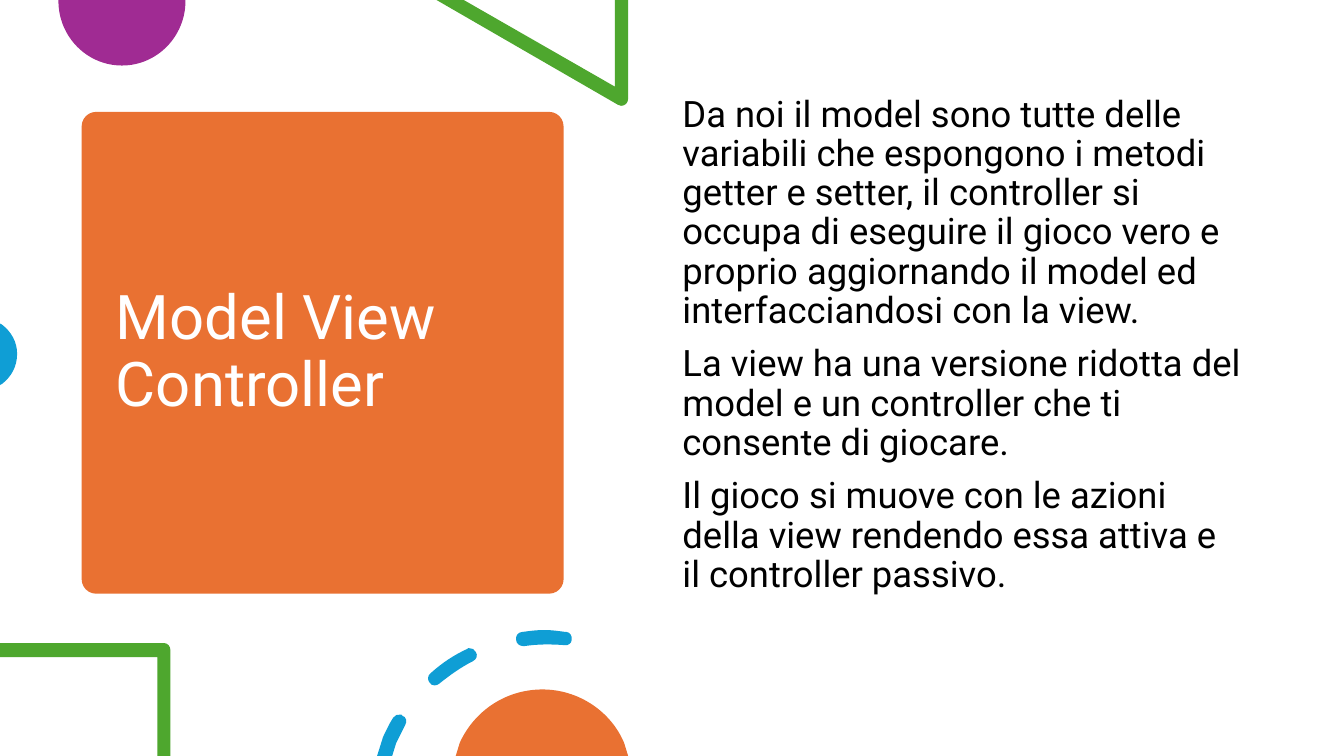
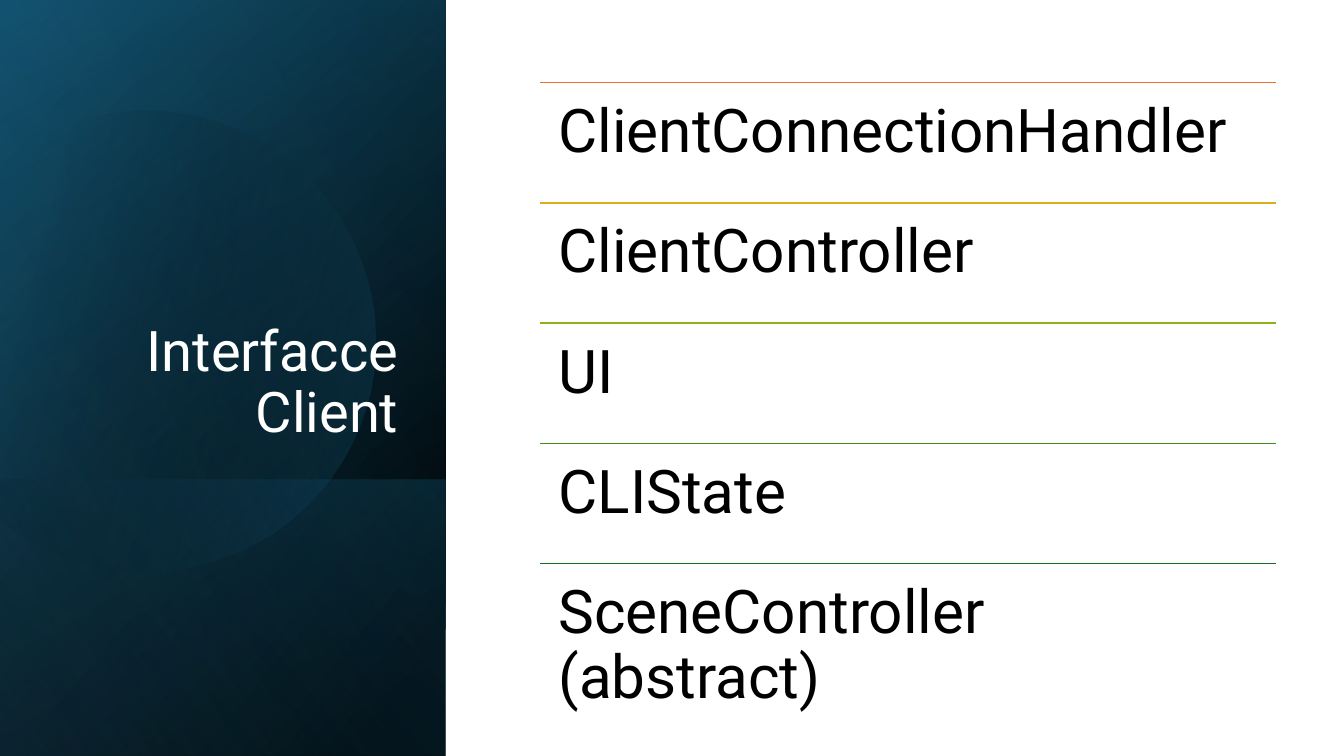
from dataclasses import dataclass

from lxml import etree
from pptx import Presentation
from pptx import util as u
from pptx.dml.color import RGBColor
from pptx.enum import shapes, text
from pptx.oxml import ns


@dataclass(frozen=True)
class Theme:
    """Colours, font and type sizes of the deck."""
    font: str = "Roboto"
    white: str = "FFFFFF"
    black: str = "000000"
    orange: str = "E97132"
    purple: str = "A02B93"
    green: str = "4EA72E"
    blue: str = "0F9ED5"
    navy: str = "104862"
    teal: str = "156082"
    sky: str = "46B1E1"
    rules: tuple = ("E97132", "D8B11D", "8EB21E", "408E1C", "196B24")
    head: int = 44
    side: int = 40
    body: int = 26
    item: int = 43


T = Theme()
ALIGN = text.PP_ALIGN
ANCHOR = text.MSO_ANCHOR

DISC = [[(1.84, 0), (0.58, 0), (0.58, 0.01), (0.58, 0.36, 0.86, 0.65, 1.21, 0.65),
         (1.56, 0.65, 1.84, 0.36, 1.84, 0.01)]]
WEDGE = [[(6.23, 0), (6.1, 0), (6.1, 0.86), (4.6, 0), (4.33, 0), (6.13, 1.04),
          (6.14, 1.05, 6.15, 1.05, 6.16, 1.05), (6.2, 1.05, 6.23, 1.02, 6.23, 0.98)]]
DOT = [[(0, 3.21), (0, 3.82), (0.02, 3.81), (0.11, 3.74, 0.17, 3.64, 0.17, 3.51),
        (0.17, 3.39, 0.11, 3.29, 0.02, 3.22)]]
FRAME = [[(1.63, 6.38), (0, 6.38), (0, 6.52), (1.56, 6.52), (1.56, 7.5), (1.69, 7.5),
          (1.69, 6.45), (1.69, 6.41, 1.66, 6.38, 1.63, 6.38)]]
DASHES = [
    [(3.97, 7.09), (3.94, 7.08, 3.92, 7.1, 3.9, 7.12), (3.86, 7.18, 3.83, 7.25, 3.8, 7.31),
     (3.74, 7.5), (3.89, 7.5), (3.93, 7.37), (3.96, 7.31, 3.99, 7.25, 4.02, 7.19),
     (4.04, 7.16, 4.03, 7.11, 3.99, 7.1), (3.99, 7.09, 3.98, 7.09, 3.97, 7.09)],
    [(4.65, 6.43), (4.65, 6.43, 4.64, 6.43, 4.63, 6.44), (4.5, 6.5, 4.38, 6.58, 4.27, 6.68),
     (4.24, 6.7, 4.24, 6.75, 4.26, 6.77), (4.27, 6.79, 4.29, 6.8, 4.31, 6.8),
     (4.33, 6.8, 4.35, 6.79, 4.36, 6.78), (4.46, 6.7, 4.57, 6.62, 4.69, 6.56),
     (4.73, 6.54, 4.74, 6.5, 4.72, 6.47), (4.71, 6.44, 4.68, 6.43, 4.65, 6.43)],
    [(5.4, 6.25), (5.32, 6.25, 5.25, 6.26, 5.18, 6.27), (5.14, 6.27, 5.11, 6.31, 5.12, 6.35),
     (5.12, 6.38, 5.15, 6.41, 5.19, 6.41), (5.19, 6.41, 5.19, 6.41, 5.2, 6.41),
     (5.33, 6.39, 5.46, 6.39, 5.6, 6.4), (5.63, 6.41, 5.67, 6.38, 5.67, 6.35),
     (5.68, 6.31, 5.65, 6.27, 5.62, 6.27), (5.62, 6.27, 5.61, 6.27, 5.61, 6.27),
     (5.54, 6.26, 5.47, 6.25, 5.4, 6.25)]]
DOME = [[(5.38, 6.84), (5.01, 6.84, 4.7, 7.06, 4.56, 7.37), (4.52, 7.5), (6.23, 7.5),
         (6.19, 7.37), (6.06, 7.06, 5.74, 6.84, 5.38, 6.84)]]
ORB = [[(0.36, 1.33), (0.69, 1.15, 1.07, 1.06, 1.44, 1.06),
        (2.7, 1.06, 3.72, 2.08, 3.72, 3.35), (3.72, 4.61, 2.7, 5.63, 1.44, 5.63),
        (0.62, 5.63, -0.15, 5.19, -0.55, 4.48)]]


def rgb(code):
    """Turn a hex code into a colour."""
    return RGBColor.from_string(code)


def box(*at):
    """Turn lengths in inches into EMU."""
    return [u.Inches(v) for v in at]


def write(shape, lines, size, color=T.black, align=ALIGN.LEFT, anchor=ANCHOR.TOP,
          before=0, inset=None):
    """Fill a shape with formatted paragraphs."""
    frame = shape.text_frame
    frame.text = "\n".join(lines)
    frame.word_wrap = True
    frame.auto_size = text.MSO_AUTO_SIZE.NONE
    frame.vertical_anchor = anchor
    if inset is not None:
        frame.margin_left = frame.margin_right = u.Inches(inset)
        frame.margin_top = frame.margin_bottom = u.Inches(inset)
    for para in frame.paragraphs:
        para.alignment = align
        para.line_spacing = 0.9
        para.space_before = u.Pt(before)
        font = para.runs[0].font
        font.name, font.size = T.font, u.Pt(size)
        font.color.rgb = rgb(color)


def title(slide, line, at, size, **form):
    """Place the title above the shapes drawn so far."""
    head = slide.shapes.title
    head.left, head.top, head.width, head.height = box(*at)
    slide.shapes._spTree.append(head._element)
    write(head, [line], size, T.white, **form)


def label(slide, lines, at, size, **form):
    """Add a text box."""
    write(slide.shapes.add_textbox(*box(*at)), lines, size, **form)


def blend(shape, stops, angle):
    """Give a shape a linear gradient of (position, colour, opacity) stops."""
    shape.fill.gradient()
    shape.fill.gradient_angle = 360 - angle
    group = shape._element.spPr.find(".//" + ns.qn("a:gsLst"))
    for old in list(group):
        group.remove(old)
    for pos, code, alpha in stops:
        stop = etree.SubElement(group, ns.qn("a:gs"), pos=str(pos * 1000))
        color = etree.SubElement(stop, ns.qn("a:srgbClr"), val=code)
        if alpha < 100:
            etree.SubElement(color, ns.qn("a:alpha"), val=str(alpha * 1000))


def paint(shape, fill, angle=0):
    """Set a plain or gradient fill without outline or shadow."""
    shape.shadow.inherit = False
    shape.line.fill.background()
    if isinstance(fill, str):
        shape.fill.solid()
        shape.fill.fore_color.rgb = rgb(fill)
    else:
        blend(shape, fill, angle)
    return shape


def block(slide, kind, at, fill, angle=0):
    """Add a preset shape."""
    return paint(slide.shapes.add_shape(kind, *box(*at)), fill, angle)


def bend(shape, loops):
    """Turn the segments that have control points into cubic curves."""
    parts = [part for loop in loops for part in loop[1:]]
    lines = list(shape._element.spPr.iter(ns.qn("a:lnTo")))
    for line, part in zip(lines, parts):
        if len(part) == 2:
            continue
        curve = etree.Element(ns.qn("a:cubicBezTo"))
        for x, y in zip(part[::2], part[1::2]):
            etree.SubElement(curve, ns.qn("a:pt"), x=str(u.Inches(x) - shape.left),
                             y=str(u.Inches(y) - shape.top))
        line.getparent().replace(line, curve)


def free(slide, loops, fill, angle=0):
    """Add an outline made of closed loops of points and cubic curves."""
    pen = None
    for loop in loops:
        first, *rest = [box(*part[-2:]) for part in loop]
        if pen is None:
            pen = slide.shapes.build_freeform(*first, scale=1.0)
        else:
            pen.move_to(*first)
        pen.add_line_segments(rest, close=True)
    shape = pen.convert_to_shape()
    bend(shape, loops)
    return paint(shape, fill, angle)


def rule(slide, left, top, width, color):
    """Add a thin level line."""
    line = slide.shapes.add_connector(shapes.MSO_CONNECTOR.STRAIGHT,
                                      *box(left, top, left + width, top))
    line.line.color.rgb = rgb(color)
    line.line.width = u.Pt(1)
    etree.SubElement(line._element.spPr, ns.qn("a:effectLst"))


def model(slide):
    """Draw the slide on the pattern."""
    card = block(slide, shapes.MSO_SHAPE.ROUNDED_RECTANGLE, (0.81, 1.11, 4.78, 4.78), T.orange)
    card.adjustments[0] = 0.03
    title(slide, "Model View Controller", (1.05, 1.22, 4.31, 4.56), T.head,
          anchor=ANCHOR.MIDDLE)
    for loops, color in ((DISC, T.purple), (WEDGE, T.green), (DOT, T.blue)):
        free(slide, loops, color)
    label(slide, [
        "Da noi il model sono tutte delle variabili che espongono i metodi getter e setter, "
        "il controller si occupa di eseguire il gioco vero e proprio aggiornando il model "
        "ed interfacciandosi con la view.",
        "La view ha una versione ridotta del model e un controller che ti consente di giocare.",
        "Il gioco si muove con le azioni della view rendendo essa attiva e il controller "
        "passivo.",
    ], (6.67, 0.9, 5.75, 5.35), T.body, before=10)
    for loops, color in ((FRAME, T.green), (DASHES, T.blue), (DOME, T.orange)):
        free(slide, loops, color)


def client(slide):
    """Draw the slide on the interfaces."""
    rect = shapes.MSO_SHAPE.RECTANGLE
    side, foot = (0, 0, 4.42, 7.5), (0, 4.76, 4.42, 2.74)
    block(slide, rect, side, [(8, T.black, 100), (100, T.navy, 100)], 220)
    block(slide, rect, side, [(0, T.black, 0), (99, T.teal, 46)], 240)
    block(slide, rect, foot, [(2, T.teal, 29), (100, T.black, 30)], 140)
    orb = free(slide, ORB, [(29, T.black, 0), (100, T.teal, 43)], 30)
    orb.rotation = 343.9
    block(slide, rect, side, [(0, T.black, 0), (99, T.sky, 11)], 150)
    title(slide, "Interfacce Client", (0.64, 1.84, 3.41, 2.62), T.side,
          align=ALIGN.RIGHT, anchor=ANCHOR.BOTTOM)
    names = ("ClientConnectionHandler", "ClientController", "UI", "CLIState",
             "SceneController (abstract)")
    left, top, wide, step = 5.36, 0.82, 7.3, 4.77 / 4
    for i, (name, color) in enumerate(zip(names, T.rules)):
        y = top + i * step
        rule(slide, left, y, wide, color)
        label(slide, [name], (left, y, wide, step), T.item, inset=0.18)


def main():
    """Build and save the deck."""
    deck = Presentation()
    deck.slide_width, deck.slide_height = box(13.33, 7.5)
    for draw in (model, client):
        draw(deck.slides.add_slide(deck.slide_layouts[5]))
    deck.save("out.pptx")


if __name__ == "__main__":
    main()
